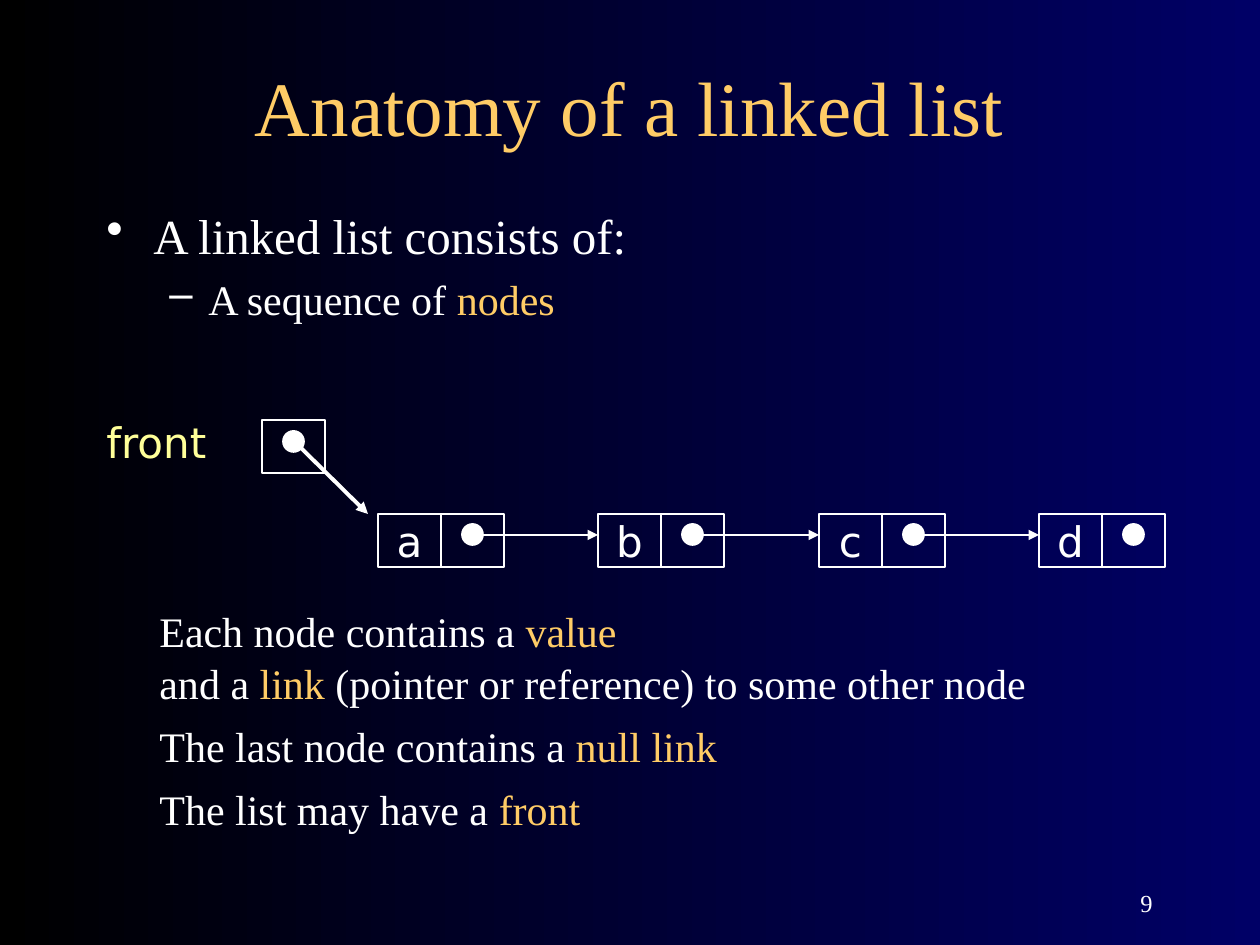
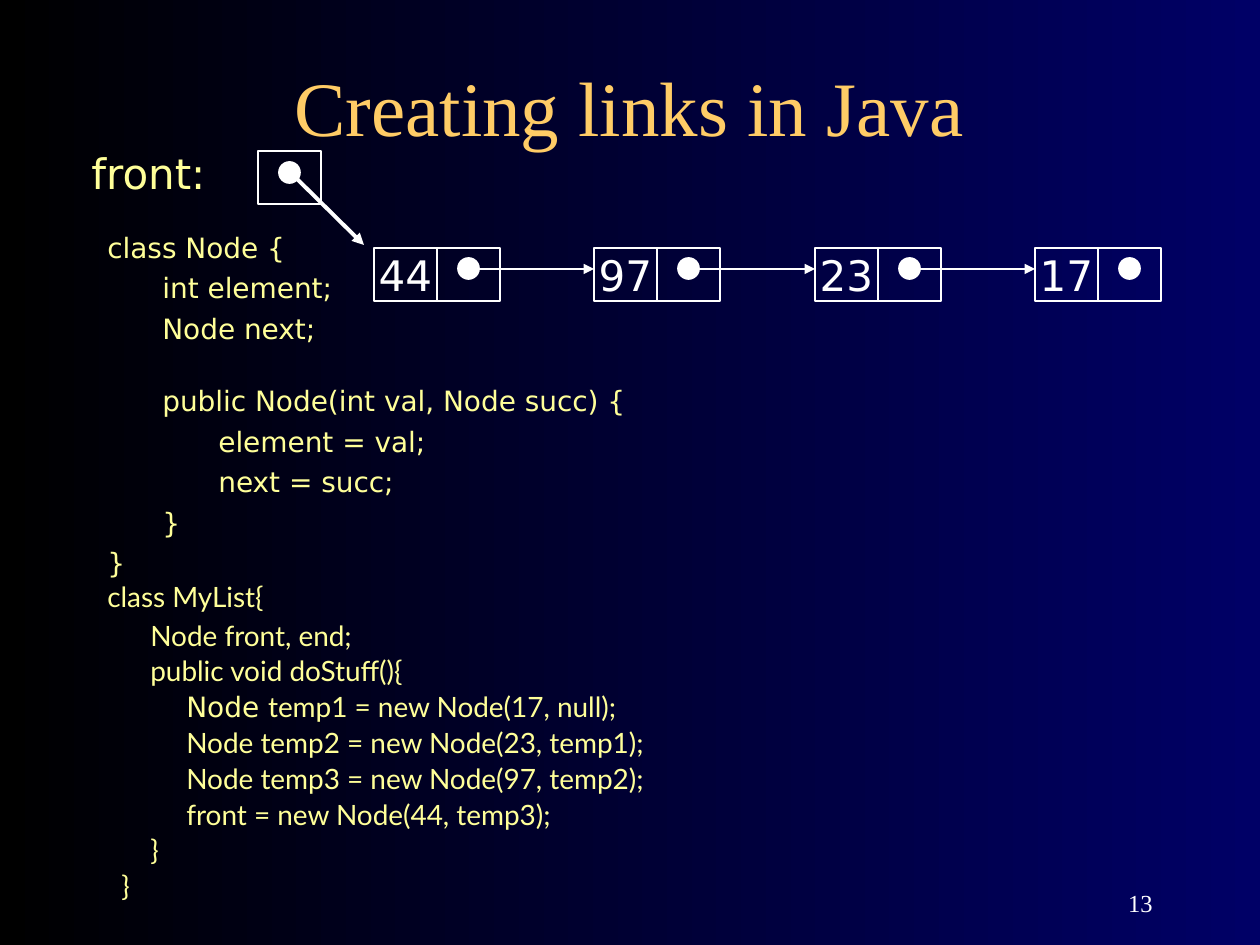
import pptx
import pptx.util
import pptx.dml.color
import pptx.enum.shapes
import pptx.enum.text
import pptx.oxml
import pptx.oxml.ns

PX = 914400 / 126  # EMU in one px
WIDTH, HEIGHT = 1260, 945

BLACK = pptx.dml.color.RGBColor(0x00, 0x00, 0x00)
NAVY = pptx.dml.color.RGBColor(0x00, 0x00, 0x66)
WHITE = pptx.dml.color.RGBColor(0xFF, 0xFF, 0xFF)
GOLD = pptx.dml.color.RGBColor(0xFF, 0xCC, 0x66)
YELLOW = pptx.dml.color.RGBColor(0xFF, 0xFF, 0x99)

SERIF, SANS, CODE = "Times New Roman", "DejaVu Sans", "Lato"

CELL_WIDTH, CELL_HEIGHT, DOT = 63, 53, 21

ALIGN = pptx.enum.text.PP_ALIGN
ANCHOR = pptx.enum.text.MSO_ANCHOR
SHAPE = pptx.enum.shapes.MSO_SHAPE

# Code lines: left margin, spans of (text, font)
NODE_CLASS = [
    (47, "class Node {"),
    (102, "int element;"),
    (102, "Node next;"),
    (102, "public Node(int val, Node succ) {"),
    (158, "element = val;"),
    (158, "next = succ;"),
    (102, "}"),
    (47, "}"),
]
LIST_CLASS = [
    (47, [("class MyList{", CODE)]),
    (90, [("Node front, end;", CODE)]),
    (90, [("public void doStuff(){", CODE)]),
    (126, [("Node ", SANS), ("temp1 = new Node(17, null);", CODE)]),
    (126, [("Node temp2 = new Node(23, temp1);", CODE)]),
    (126, [("Node temp3 = new Node(97, temp2);", CODE)]),
    (126, [("front = new Node(44, temp3);", CODE)]),
    (90, [("}", CODE)]),
    (61, [("}", CODE)]),
]


def emu(px):
    return pptx.util.Emu(round(px * PX))


def node_left(left, index):
    """Nodes repeat every 220.5 px."""
    return left + index * 441 // 2


class Deck:
    def __init__(self):
        self.deck = pptx.Presentation()
        self.deck.slide_width, self.deck.slide_height = emu(WIDTH), emu(HEIGHT)
        self.page = None
        fill = self.deck.slide_master.background.fill
        fill.gradient()
        fill.gradient_angle = 0
        for stop, position, color in zip(fill.gradient_stops, (0, 1), (BLACK, NAVY)):
            stop.position = position
            stop.color.rgb = color

    def add_page(self, title, number):
        self.page = self.deck.slides.add_slide(self.deck.slide_layouts[5])
        holder = self.page.shapes.title
        holder.left, holder.top, holder.width, holder.height = map(emu, (94, 53, 1071, 105))
        holder.text_frame.vertical_anchor = ANCHOR.MIDDLE
        self.para(holder, [(title, GOLD)], 44, align=ALIGN.CENTER)
        footer = self.text_box(903, 861, 262, 63)
        footer.text_frame.vertical_anchor = ANCHOR.BOTTOM
        self.para(footer, [(str(number), WHITE)], 14, align=ALIGN.RIGHT)

    def text_box(self, left, top, width, height):
        box = self.page.shapes.add_textbox(*map(emu, (left, top, width, height)))
        box.text_frame.word_wrap = True
        return box

    def para(self, box, spans, size, font=SERIF, align=ALIGN.LEFT, margin=0,
             hanging=0, bullet=None, before=0, after=0, spacing=1.0):
        """Add a paragraph; a span is (text, color) or (text, color, font)."""
        frame = box.text_frame
        para = frame.paragraphs[0]
        if para.runs:
            para = frame.add_paragraph()
        para.alignment = align
        para.line_spacing = spacing
        para.space_before = pptx.util.Pt(before)
        para.space_after = pptx.util.Pt(after)
        properties = para._p.get_or_add_pPr()
        properties.set("marL", str(emu(margin)))
        properties.set("indent", str(-emu(hanging)))
        if bullet:
            mark = pptx.oxml.parse_xml(
                f'<a:buChar {pptx.oxml.ns.nsdecls("a")} char="{bullet}"/>')
            properties.append(mark)
        for text, color, *own_font in spans:
            span = para.add_run()
            span.text = text
            span.font.size = pptx.util.Pt(size)
            span.font.name = own_font[0] if own_font else font
            span.font.color.rgb = color

    def shape(self, kind, left, top, width, height, filled=False):
        shape = self.page.shapes.add_shape(kind, *map(emu, (left, top, width, height)))
        shape.shadow.inherit = False
        if filled:
            shape.fill.solid()
            shape.fill.fore_color.rgb = WHITE
        else:
            shape.fill.background()
        shape.line.color.rgb = WHITE
        shape.line.width = pptx.util.Pt(1)
        return shape

    def cell(self, left, top, value=None):
        cell = self.shape(SHAPE.RECTANGLE, left, top, CELL_WIDTH, CELL_HEIGHT)
        if value:
            cell.text_frame.word_wrap = False
            cell.text_frame.vertical_anchor = ANCHOR.MIDDLE
            self.para(cell, [(value, WHITE)], 24, SANS, ALIGN.CENTER)

    def dot(self, left, top):
        self.shape(SHAPE.OVAL, left, top, DOT, DOT, filled=True)

    def arrow(self, start, end, width):
        arrow = self.page.shapes.add_connector(
            pptx.enum.shapes.MSO_CONNECTOR.STRAIGHT, *map(emu, (*start, *end)))
        arrow.line.color.rgb = WHITE
        arrow.line.width = pptx.util.Pt(width)
        names = pptx.oxml.ns.nsdecls("a")
        arrow.line._get_or_add_ln().append(
            pptx.oxml.parse_xml(f'<a:tailEnd {names} type="triangle"/>'))
        arrow._element.spPr.append(pptx.oxml.parse_xml(f"<a:effectLst {names}/>"))

    def linked_list(self, left, top, values):
        for index, value in enumerate(values):
            x = node_left(left, index)
            self.cell(x, top, value)
            self.cell(x + CELL_WIDTH, top)
            self.dot(x + 84, top + 10)
            if index < len(values) - 1:
                following = node_left(left, index + 1)
                self.arrow((x + 94, top + 21), (following, top + 21), 1)

    def front_pointer(self, left, top, label, label_left):
        self.dot(left + 21, top + 11)
        self.cell(left, top)
        self.arrow((left + 32, top + 21), (left + 106, top + 94), 2.25)
        box = self.text_box(label_left, top - 10, 179, 63)
        self.para(box, [(label, YELLOW)], 24, SANS)


def anatomy_page(deck):
    deck.add_page("Anatomy of a linked list", 9)

    # Bulleted introduction
    body = deck.text_box(94, 199, 1071, 199)
    deck.para(body, [("A linked list consists of:", WHITE)], 28,
              margin=47, hanging=47, bullet="•")
    deck.para(body, [("A sequence of ", WHITE), ("nodes", GOLD)], 24,
              margin=102, hanging=39, bullet="–", before=5.5)

    # Diagram
    deck.linked_list(378, 514, ["a", "b", "c", "d"])
    deck.front_pointer(262, 420, "front", 94)

    # Statements below the diagram
    statements = [
        (599, [("Each node contains a ", WHITE), ("value", GOLD)]),
        (651, [("and a ", WHITE), ("link", GOLD),
               (" (pointer or reference) to some other node", WHITE)]),
        (714, [("The last node contains a ", WHITE), ("null link", GOLD)]),
        (777, [("The list may have a ", WHITE), ("front", GOLD)]),
    ]
    for top, spans in statements:
        deck.para(deck.text_box(147, top, 966, 63), spans, 24)


def java_page(deck):
    deck.add_page("Creating links in Java", 13)

    # Code
    code = deck.text_box(48, 224, 1071, 514)
    for index, (margin, text) in enumerate(NODE_CLASS):
        deck.para(code, [(text, YELLOW)], 16, SANS, margin=margin,
                  before=3.9 if index else 0,
                  after=18.6 if text == "Node next;" else 0)
    for index, (margin, pieces) in enumerate(LIST_CLASS):
        spans = [(text, YELLOW, font) for text, font in pieces]
        deck.para(code, spans, 16, margin=margin,
                  before=3.2 if index else 0,
                  spacing=0.9 if index > 1 else 1.0)

    # Diagram
    deck.linked_list(374, 248, ["44", "97", "23", "17"])
    deck.front_pointer(258, 151, "front:", 79)


def main():
    deck = Deck()
    anatomy_page(deck)
    java_page(deck)
    deck.deck.save("out.pptx")


if __name__ == "__main__":
    main()
